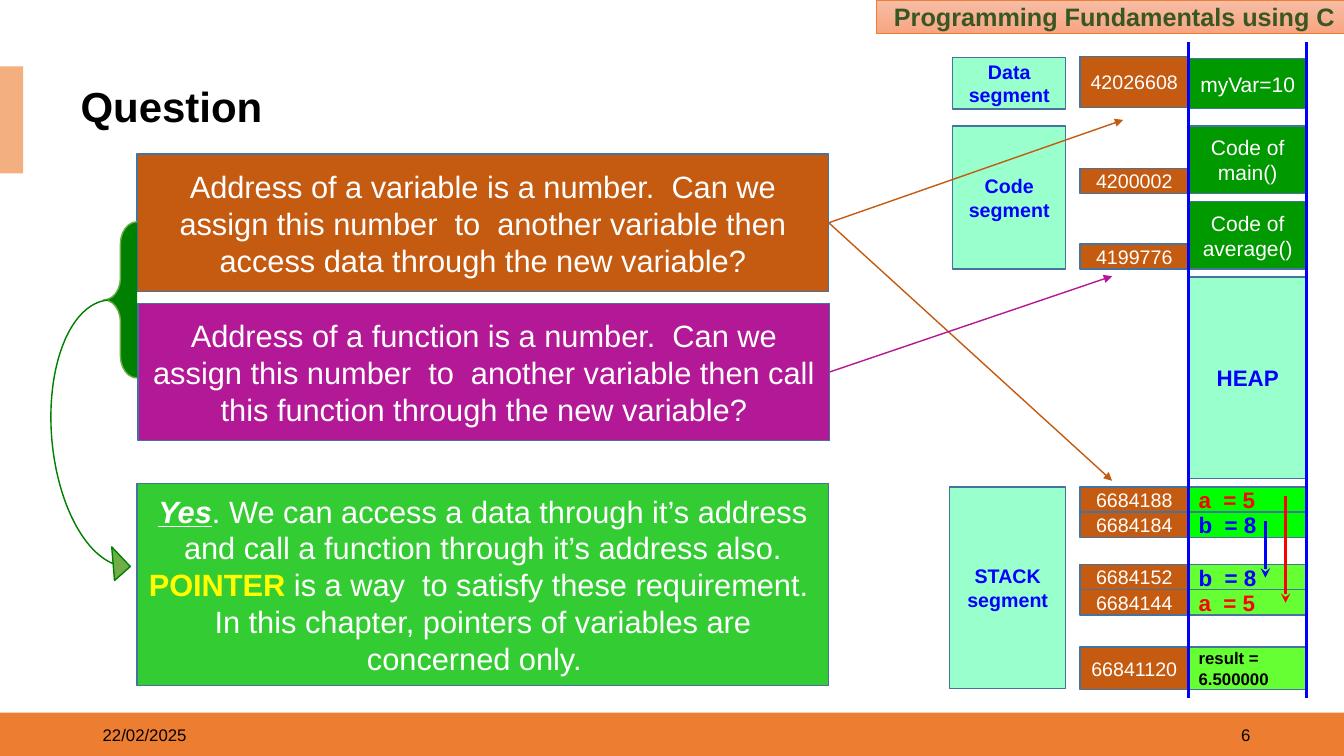
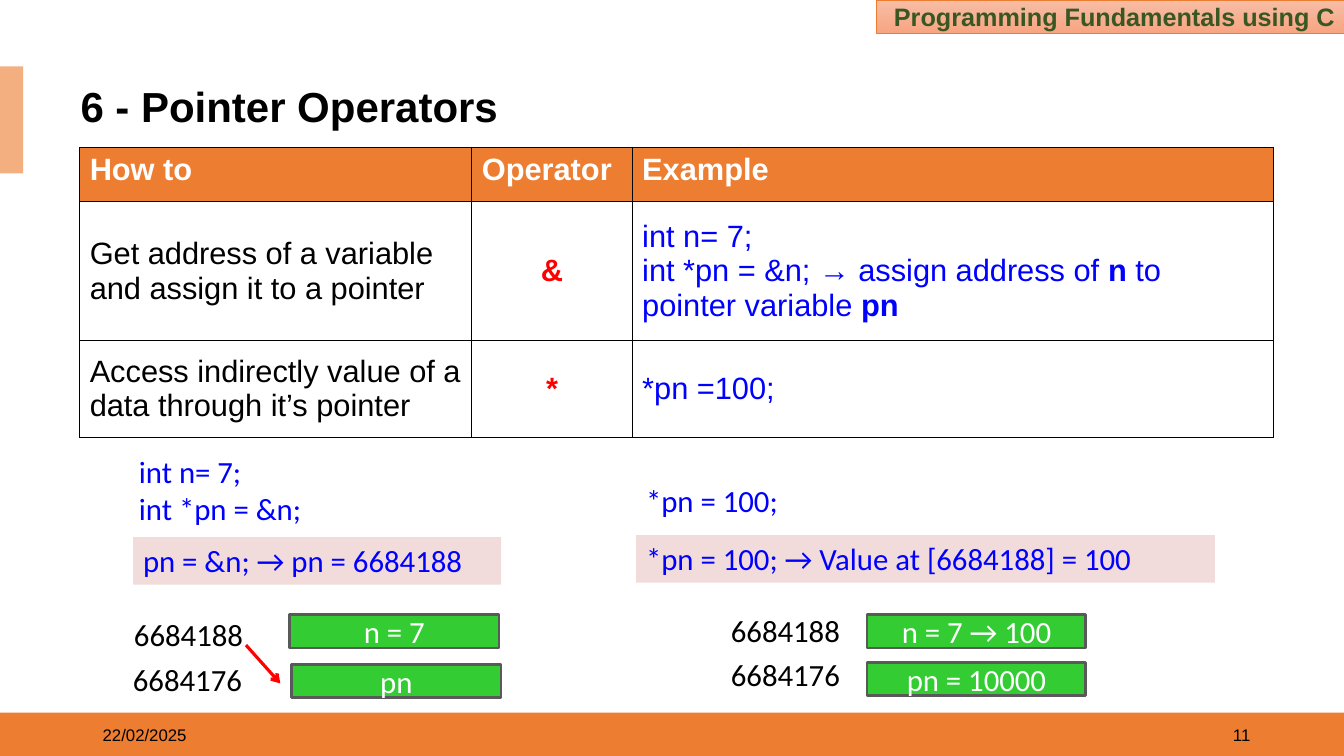
import pptx
import pptx.util
import pptx.dml.color
import pptx.enum.shapes
import pptx.enum.text
import pptx.oxml
import pptx.oxml.ns

Pt = pptx.util.Pt
SHAPE = pptx.enum.shapes.MSO_SHAPE
ALIGN = pptx.enum.text.PP_ALIGN
ANCHOR = pptx.enum.text.MSO_ANCHOR
LEFT, MID, RIGHT = ALIGN.LEFT, ALIGN.CENTER, ALIGN.RIGHT

PX = 9144  # EMU per px, 100 px to the inch
WIDE, HIGH = 1333, 750
HUES = {
    "white": "FFFFFF", "black": "000000", "band": "ED7D31", "tab": "F4AF80",
    "fade1": "F7BDA5", "fade2": "F8A582", "head": "385723", "edge": "43739E",
    "rust": "C55A11", "plum": "B31996", "leaf": "33CC33", "mint": "99FFCC",
    "code": "009900", "lime": "00FF00", "lawn": "66FF33", "blue": "0000FF",
    "red": "FF0000", "yellow": "FFFF00", "brace": "008000", "sage": "70AD47",
    "pink": "F2DCDB", "grey": "595959",
}

COURSE = "Programming Fundamentals using C"
DATE = "22/02/2025"

# Memory map: left, top, width, height, label
PARTS = [
    (945, 57, 112, 51, ["Data segment"]),
    (945, 125, 112, 142, ["Code segment"]),
    (942, 483, 115, 200, ["STACK", "segment"]),
]
# top, height, address
PLACES = [
    (56, 51, "42026608"), (167, 25, "4200002"), (242, 25, "4199776"),
    (483, 25, "6684188"), (508, 25, "6684184"), (560, 25, "6684152"),
    (585, 25, "6684144"), (642, 42, "66841120"),
]
# top, height, value, fill, text colour, size, bold, alignment
VALUES = [
    (58, 50, "myVar=10", "code", "white", 15, False, MID),
    (125, 67, "Code of main()", "code", "white", 15, False, MID),
    (200, 67, "Code of average()", "code", "white", 15, False, MID),
    (275, 200, "HEAP", "mint", "blue", 16, True, MID),
    (483, 25, "a  = 5", "lime", "red", 16, True, LEFT),
    (508, 25, "b  = 8", "lime", "blue", 16, True, LEFT),
    (560, 25, "b  = 8", "lawn", "blue", 16, True, LEFT),
    (585, 25, "a  = 5", "lawn", "red", 16, True, LEFT),
    (642, 42, "result = 6.500000", "lawn", "black", 12, True, LEFT),
]
PLACE_X, VALUE_X, END_X = 1071, 1179, 1296
RAILS = (42, 692)
# x, top, bottom, colour
COPIES = [(1255, 517, 573, "blue"), (1275, 492, 598, "red")]

# box, fill, text, arrow targets
ASKS = [
    ((136, 153, 686, 136), "rust",
     "Address of a variable is a number.  Can we assign this number  to  "
     "another variable then access data through the new variable?",
     [(1103, 477), (1114, 119)]),
    ((137, 301, 686, 136), "plum",
     "Address of a function is a number.  Can we assign this number  to  "
     "another variable then call this function through the new variable?",
     [(1103, 274)]),
]
REPLY = [
    [("Yes", {"bold": True, "italic": True, "underline": True}),
     ". We can access a data through it’s address and call a function "
     "through it’s address also. ",
     ("POINTER", {"bold": True, "hue": "yellow"}),
     " is a way  to satisfy these requirement. "],
    "In this chapter, pointers of variables are concerned only.  ",
]

COLS = [389, 159, 636]
ROWS = [54, 138, 96]
TABLE = [
    [["How to"], ["Operator"], ["Example"]],
    [["Get address of a variable and assign it to a pointer"], ["&"],
     ["int n= 7;",
      ["int *pn = &n; → assign address of ", ("n ", {"bold": True}),
       "to pointer variable ", ("pn", {"bold": True})]]],
    [["Access indirectly value of a data through it’s pointer"], ["*"],
     ["*pn =100;"]],
]
LOOKS = [dict(hue="black"), dict(hue="red", bold=True, align=MID),
         dict(hue="blue")]

# box, paragraphs, fill
CODES = [
    ((128, 444, 300, 84), ["int n= 7;", "int *pn = &n;"], None),
    ((631, 473, 200, 47), ["*pn = 100;"], None),
    ((132, 533, 365, 47), ["pn = &n; → pn = 6684188"], "pink"),
    ((631, 531, 574, 47), ["*pn = 100; → Value at [6684188] = 100"], "pink"),
]
# label box, label, cell box, cell text
CELLS = [
    ((112, 608, 150, 42), "6684188", (287, 610, 208, 33), "n = 7"),
    ((111, 653, 150, 42), "6684176", (289, 659, 208, 33), "pn"),
    ((704, 604, 150, 42), "6684188", (860, 610, 217, 33), "n = 7 → 100"),
    ((704, 648, 150, 42), "6684176", (860, 657, 217, 33), "pn = 10000"),
]


def rgb(hue):
    return pptx.dml.color.RGBColor.from_string(HUES[hue])


def emu(nums):
    return [n * PX for n in nums]


def write(frame, paras, size=22, hue="black", font="Arial", bold=False,
          align=LEFT):
    """Fill a frame; a paragraph is a string or a list of runs."""
    frame.word_wrap = True
    for i, runs in enumerate(paras):
        para = frame.add_paragraph() if i else frame.paragraphs[0]
        para.alignment = align
        for item in [runs] if isinstance(runs, str) else runs:
            text, extra = (item, {}) if isinstance(item, str) else item
            run = para.add_run()
            run.text = text
            face = run.font
            face.name, face.size = font, Pt(size)
            face.bold = extra.get("bold", bold)
            face.italic = extra.get("italic")
            face.underline = extra.get("underline")
            face.color.rgb = rgb(extra.get("hue", hue))


def label(slide, at, paras, anchor=ANCHOR.MIDDLE, **look):
    text = slide.shapes.add_textbox(*emu(at))
    text.text_frame.vertical_anchor = anchor
    write(text.text_frame, paras, **look)


def box(slide, at, fill, paras=(), line=None, width=1, kind=SHAPE.RECTANGLE,
        anchor=ANCHOR.MIDDLE, **look):
    shape = slide.shapes.add_shape(kind, *emu(at))
    shape.shadow.inherit = False
    shape.fill.solid()
    shape.fill.fore_color.rgb = rgb(fill)
    if line:
        shape.line.color.rgb = rgb(line)
        shape.line.width = Pt(width)
    else:
        shape.line.fill.background()
    shape.text_frame.vertical_anchor = anchor
    write(shape.text_frame, paras, **look)
    return shape


def link(slide, start, end, hue, width, tip=None):
    line = slide.shapes.add_connector(
        pptx.enum.shapes.MSO_CONNECTOR.STRAIGHT, *emu(start + end))
    line.line.color.rgb = rgb(hue)
    line.line.width = Pt(width)
    if tip:
        add(line.line._get_or_add_ln(), "a:tailEnd", type=tip)
    add(line._element.spPr, "a:effectLst")
    return line


def add(parent, tag, **attrs):
    node = pptx.oxml.parse_xml(f"<{tag} {pptx.oxml.ns.nsdecls('a')}/>")
    for key, value in attrs.items():
        node.set(key, value)
    parent.append(node)
    return node


def border(cell):
    props = cell._tc.get_or_add_tcPr()
    for i, side in enumerate("LRTB"):
        line = add(props, f"a:ln{side}", w=str(Pt(1)))
        add(add(line, "a:solidFill"), "a:srgbClr", val=HUES["black"])
        props.insert(i, line)


def start(deck, title, number):
    """Add a slide with the shared bands, title and footer."""
    slide = deck.slides.add_slide(deck.slide_layouts[6])
    box(slide, (0, 707, WIDE, 43), "band")
    box(slide, (0, 66, 23, 106), "tab")
    head = box(slide, (869, 0, 465, 33), "fade1", [COURSE], "band", 0.5,
               size=18, hue="head", bold=True, align=RIGHT)
    head.fill.gradient()
    head.fill.gradient_angle = 270
    for stop, hue in zip(head.fill.gradient_stops, ("fade1", "fade2")):
        stop.color.rgb = rgb(hue)
    label(slide, (70, 79, 1212, 51), [title], size=30, bold=True)
    label(slide, (950, 709, 300, 40), [number], size=12, align=RIGHT)
    label(slide, (92, 709, 300, 40), [DATE], size=12)
    return slide


def question(deck):
    slide = start(deck, "Question", "6")
    for top, high, text in PLACES:
        box(slide, (PLACE_X, top, VALUE_X - PLACE_X, high), "rust", [text],
            "edge", size=14, hue="white", align=MID)
    for top, high, text, fill, hue, size, bold, align in VALUES:
        box(slide, (VALUE_X, top, END_X - VALUE_X, high), fill, [text],
            "edge", size=size, hue=hue, bold=bold, align=align)
    for x in (VALUE_X, END_X):
        link(slide, (x, RAILS[0]), (x, RAILS[1]), "blue", 2.25)
    for *at, paras in PARTS:
        box(slide, at, "mint", paras, "edge", size=14, hue="blue",
            bold=True, align=MID)
    for x, top, base, hue in COPIES:
        link(slide, (x, top), (x, base), hue, 2.25, "stealth")
    for at, fill, text, goals in ASKS:
        ask = box(slide, at, fill, [text], "edge", hue="white", align=MID)
        left, top, wide, high = at
        for goal in goals:
            line = link(slide, (left + wide, top + high // 2), goal, fill, 1,
                        "triangle")
            line.begin_connect(ask, 3)
    box(slide, (136, 480, 686, 200), "leaf", REPLY, "edge", hue="white",
        align=MID)
    brace = box(slide, (103, 220, 33, 155), "brace", line="sage",
                kind=SHAPE.LEFT_BRACE)
    brace.adjustments[0] = 0.66
    curve = box(slide, (52, 300, 67, 282), "sage", line="brace",
                kind=SHAPE.CURVED_RIGHT_ARROW)
    curve.rotation = 355.2
    for i, value in enumerate((0, 0.5, 0.25)):
        curve.adjustments[i] = value


def pointers(deck):
    slide = start(deck, "6 - Pointer Operators", "11")
    at = (79, 146, sum(COLS), sum(ROWS))
    grid = slide.shapes.add_table(len(ROWS), len(COLS), *emu(at)).table
    for col, wide in zip(grid.columns, COLS):
        col.width = wide * PX
    for r, high in enumerate(ROWS):
        grid.rows[r].height = high * PX
        for c, paras in enumerate(TABLE[r]):
            cell = grid.cell(r, c)
            cell.fill.solid()
            cell.fill.fore_color.rgb = rgb("white" if r else "band")
            cell.vertical_anchor = ANCHOR.MIDDLE if r else ANCHOR.TOP
            look = LOOKS[c] if r else dict(hue="white", bold=True)
            write(cell.text_frame, paras, **look)
            border(cell)
    font = dict(font="Calibri")
    for at, paras, fill in CODES:
        look = dict(font, hue="blue", anchor=ANCHOR.TOP)
        if fill:
            box(slide, at, fill, paras, **look)
        else:
            label(slide, at, paras, **look)
    for at, text, spot, value in CELLS:
        label(slide, at, [text], align=MID, **font)
        box(slide, spot, "leaf", [value], "grey", 2, hue="white", align=MID,
            **font)
    link(slide, (244, 640), (278, 678), "red", 2.25, "arrow")


def main():
    deck = pptx.Presentation()
    deck.slide_width, deck.slide_height = emu((WIDE, HIGH))
    question(deck)
    pointers(deck)
    deck.save("out.pptx")


if __name__ == "__main__":
    main()
